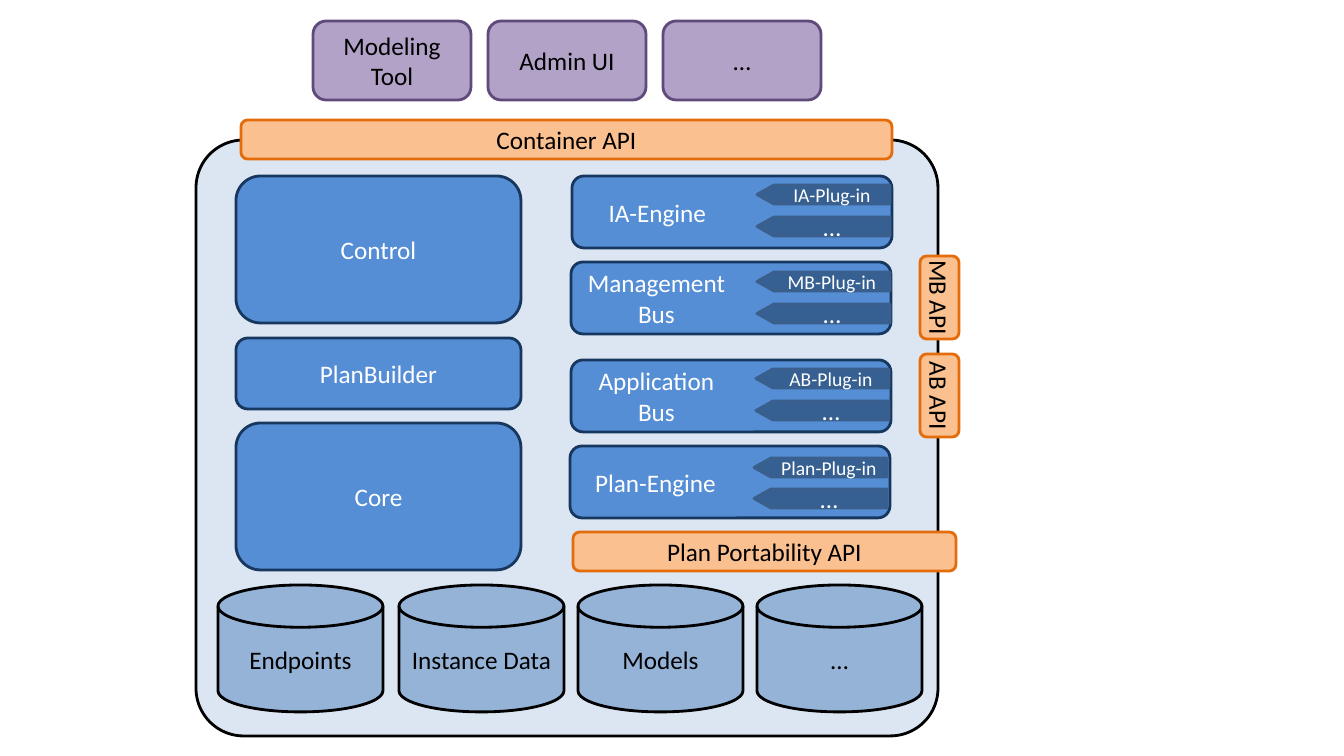
import pptx
import pptx.dml.color
import pptx.enum.shapes
import pptx.enum.text
import pptx.util

RGBColor = pptx.dml.color.RGBColor
SHAPES = pptx.enum.shapes.MSO_SHAPE

PIXEL = 914400 / 100.8
FONT = "Calibri"
BLACK = RGBColor(0x00, 0x00, 0x00)
WHITE = RGBColor(0xFF, 0xFF, 0xFF)
PALE_BLUE = RGBColor(0xDC, 0xE6, 0xF2)
BLUE = RGBColor(0x55, 0x8E, 0xD5)
NAVY = RGBColor(0x17, 0x37, 0x5E)
PLUGIN_BLUE = RGBColor(0x37, 0x60, 0x92)
PLUGIN_LINE = RGBColor(0x3A, 0x5F, 0x8C)
DISK_BLUE = RGBColor(0x95, 0xB3, 0xD7)
ORANGE = RGBColor(0xFA, 0xC0, 0x90)
DARK_ORANGE = RGBColor(0xE4, 0x6C, 0x0A)
PURPLE = RGBColor(0xB3, 0xA2, 0xC7)
DARK_PURPLE = RGBColor(0x60, 0x4A, 0x7B)


def px(pixels):
    """Turn pixels into EMU."""
    return pptx.util.Emu(round(pixels * PIXEL))


def add_block(slide, kind, box, fill, line, text="", color=BLACK, size=18):
    """Add a filled and outlined shape with centred text."""
    shape = slide.shapes.add_shape(kind, *map(px, box))
    shape.shadow.inherit = False
    shape.fill.solid()
    shape.fill.fore_color.rgb = fill
    shape.line.color.rgb = line
    shape.line.width = pptx.util.Pt(2)
    frame = shape.text_frame
    frame.word_wrap = True
    frame.vertical_anchor = pptx.enum.text.MSO_ANCHOR.MIDDLE
    frame.text = text
    for paragraph in frame.paragraphs:
        paragraph.alignment = pptx.enum.text.PP_ALIGN.CENTER
        for run in paragraph.runs:
            run.font.name = FONT
            run.font.size = pptx.util.Pt(size)
            run.font.color.rgb = color
    return shape


def add_component(slide, box, text):
    """Add a blue component of the container."""
    return add_block(slide, SHAPES.ROUNDED_RECTANGLE, box, BLUE, NAVY, text, WHITE)


def add_api(slide, box, text):
    """Add an orange API bar."""
    return add_block(slide, SHAPES.ROUNDED_RECTANGLE, box, ORANGE, DARK_ORANGE, text)


def add_side_api(slide, box, text):
    """Add an API bar turned to read downwards."""
    shape = add_api(slide, box, text)
    shape.rotation = 90
    shape.text_frame.margin_left = shape.text_frame.margin_right = 0


def add_plugin(slide, left, top, text, size):
    """Add a plug-in arrow that points left."""
    shape = add_block(slide, SHAPES.LEFT_ARROW, (left, top, 133, 19),
                      PLUGIN_BLUE, PLUGIN_LINE, text, WHITE, size)
    shape.adjustments[0] = 1
    shape.adjustments[1] = 0.89
    shape.text_frame.margin_left = shape.text_frame.margin_right = 0


def add_engine(slide, left, top, text, plugin, plugin_left, plugin_tops):
    """Add a component with its name at the left and two plug-ins at the right."""
    shape = add_component(slide, (left, top, 320, 72), text)
    shape.text_frame.margin_right = px(159)
    for plugin_top, label, size in zip(plugin_tops, (plugin, "…"), (14, 18)):
        add_plugin(slide, plugin_left, plugin_top, label, size)


def main():
    """Build the slide and save it."""
    presentation = pptx.Presentation()
    presentation.slide_width = px(1344)
    presentation.slide_height = px(756)
    slide = presentation.slides.add_slide(presentation.slide_layouts[6])

    container = add_block(slide, SHAPES.ROUNDED_RECTANGLE, (196, 140, 742, 596),
                          PALE_BLUE, BLACK)
    container.adjustments[0] = 0.08

    for column, text in enumerate(("Modeling Tool", "Admin UI", "…")):
        add_block(slide, SHAPES.ROUNDED_RECTANGLE, (313 + 175 * column, 21, 158, 79),
                  PURPLE, DARK_PURPLE, text)

    for top, height, text in ((176, 147, "Control"), (338, 71, "PlanBuilder"),
                              (423, 147, "Core")):
        add_component(slide, (236, top, 285, height), text)

    engines = (
        (572, 176, "IA-Engine", "IA-Plug-in", 757, (185, 217)),
        (571, 262, "Management\nBus", "MB-Plug-in", 757, (272, 304)),
        (571, 360, "Application\nBus", "AB-Plug-in", 756, (369, 401)),
        (570, 446, "Plan-Engine", "Plan-Plug-in", 754, (458, 489)),
    )
    for engine in engines:
        add_engine(slide, *engine)

    add_api(slide, (241, 120, 651, 39), "Container API")
    add_api(slide, (573, 532, 383, 39), "Plan Portability API")
    for top, text in ((278, "MB API"), (376, "AB API")):
        add_side_api(slide, (898, top, 83, 39), text)

    for left, text in ((218, "Endpoints"), (399, "Instance Data"),
                       (578, "Models"), (757, "…")):
        add_block(slide, SHAPES.FLOWCHART_MAGNETIC_DISK, (left, 585, 165, 127),
                  DISK_BLUE, BLACK, text)

    presentation.save("out.pptx")


main()
